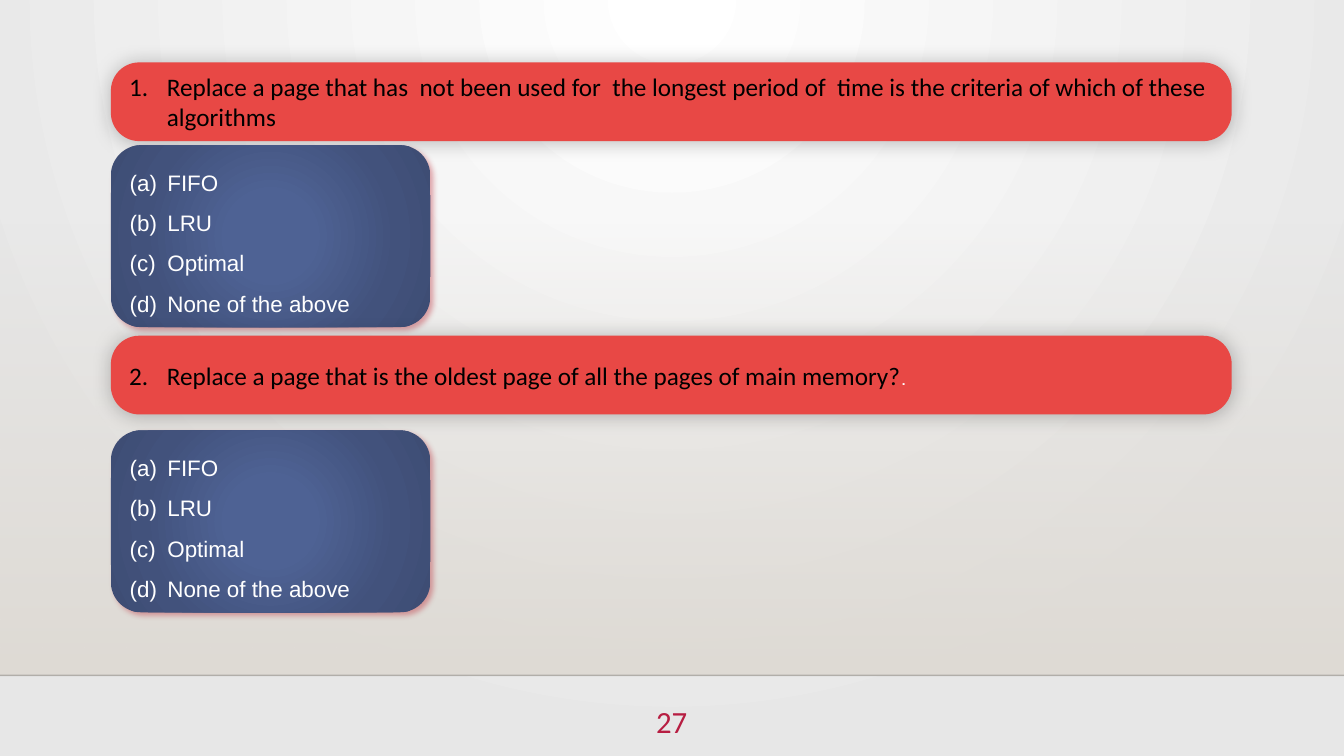
"""Build a quiz slide with two questions on page replacement algorithms."""
import pptx
import pptx.dml.color
import pptx.enum.shapes
import pptx.enum.text
import pptx.oxml
import pptx.oxml.ns
import pptx.util

Pt = pptx.util.Pt
SHAPES = pptx.enum.shapes.MSO_SHAPE
ALIGN = pptx.enum.text.PP_ALIGN

COLORS = {
    "white": "FFFFFF", "black": "000000", "edge": "E7E7E7", "sand": "DFDBD5",
    "rule": "000001", "number": "B71E42", "question": "E84845", "glow": "BA2532",
    "blue": "4E6294", "blue_mid": "42527C", "blue_dark": "3E4D74",
}
OPTIONS = ["FIFO", "LRU", "Optimal", "None of the above"]
QUESTIONS = [
    {"top": 44.6, "options_top": 103.7, "tail": "",
     "text": "Replace a page that has  not been used for  the longest period of  time "
             "is the criteria of which of these algorithms"},
    {"top": 239.8, "options_top": 307.4, "tail": ".",
     "text": "Replace a page that is the oldest page of all the pages of main memory?"},
]
PAGE_NUMBER = "27"

SLIDE_WIDTH, SLIDE_HEIGHT = 960, 540
LEFT = 79.2
QUESTION_SIZE = (800.6, 56.2)
OPTIONS_SIZE = (228.2, 130)
PANEL_TOP, RULE_TOP = 159, 482.4
INDENT = 27

BACKGROUND_STOPS = [(0, "white", 100), (100, "edge", 100)]
PANEL_STOPS = [(0, "sand", 0), (100, "sand", 100)]
OPTIONS_STOPS = [(0, "blue", 100), (23, "blue", 100), (69, "blue_mid", 100), (97, "blue_dark", 100)]


def parse_xml(tag, attributes="", content=""):
    namespace = pptx.oxml.ns.nsdecls("a")
    return pptx.oxml.parse_xml(f"<a:{tag} {namespace} {attributes}>{content}</a:{tag}>")


def color_xml(color, alpha):
    return f'<a:srgbClr val="{COLORS[color]}"><a:alpha val="{alpha * 1000}"/></a:srgbClr>'


def set_gradient(properties, stops, focus=None):
    """Turn the solid fill into a linear gradient, or a circular one around focus."""
    content = "".join(f'<a:gs pos="{position * 1000}">{color_xml(color, alpha)}</a:gs>'
                      for position, color, alpha in stops)
    direction = '<a:lin ang="5400000" scaled="0"/>'
    if focus:
        sides = " ".join(f'{side}="{value * 1000}"' for side, value in zip("ltrb", focus))
        direction = f'<a:path path="circle"><a:fillToRect {sides}/></a:path>'
    solid = properties.find(pptx.oxml.ns.qn("a:solidFill"))
    gradient = parse_xml("gradFill", 'rotWithShape="1"', f"<a:gsLst>{content}</a:gsLst>{direction}")
    properties.replace(solid, gradient)


def add_block(slide, kind, left, top, width, height, color, shadow=None):
    shape = slide.shapes.add_shape(kind, Pt(left), Pt(top), Pt(width), Pt(height))
    shape.fill.solid()
    shape.fill.fore_color.rgb = pptx.dml.color.RGBColor.from_string(COLORS[color])
    shape.line.fill.background()
    shape.shadow.inherit = False
    if shadow:
        shadow_color, alpha, blur, distance, angle = shadow
        effects = shape.element.spPr.find(pptx.oxml.ns.qn("a:effectLst"))
        effects.append(parse_xml(
            "outerShdw",
            f'blurRad="{Pt(blur)}" dist="{Pt(distance)}" dir="{angle * 60000}" '
            'algn="ctr" rotWithShape="0"',
            color_xml(shadow_color, alpha)))
    return shape


def write_text(shape, text, size, font, color, align=ALIGN.LEFT, spacing=None,
               numbering=None, start=1, new_paragraph=False):
    frame = shape.text_frame
    frame.word_wrap = True
    frame.vertical_anchor = pptx.enum.text.MSO_ANCHOR.MIDDLE
    paragraph = frame.add_paragraph() if new_paragraph else frame.paragraphs[-1]
    paragraph.alignment = align
    if spacing:
        paragraph.line_spacing = spacing
    if numbering:
        properties = paragraph._p.get_or_add_pPr()
        properties.set("marL", str(Pt(INDENT)))
        properties.set("indent", str(-Pt(INDENT)))
        properties.append(parse_xml("buAutoNum", f'type="{numbering}" startAt="{start}"'))
    run = paragraph.add_run()
    run.text = text
    run.font.size = Pt(size)
    run.font.name = font
    run.font.color.rgb = pptx.dml.color.RGBColor.from_string(COLORS[color])


def add_backdrop(slide):
    slide.background.fill.solid()
    background = next(slide.element.iter(pptx.oxml.ns.qn("p:bgPr")))
    set_gradient(background, BACKGROUND_STOPS, focus=(43, 0, 43, 100))

    panel = add_block(slide, SHAPES.RECTANGLE, 0, PANEL_TOP, SLIDE_WIDTH,
                      RULE_TOP - PANEL_TOP, "sand")
    set_gradient(panel.element.spPr, PANEL_STOPS)

    rule = slide.shapes.add_connector(pptx.enum.shapes.MSO_CONNECTOR.STRAIGHT,
                                      0, Pt(RULE_TOP), Pt(SLIDE_WIDTH), Pt(RULE_TOP))
    rule.line.width = Pt(1)
    rule.line.color.rgb = pptx.dml.color.RGBColor.from_string(COLORS["rule"])
    next(rule.element.spPr.iter(pptx.oxml.ns.qn("a:srgbClr"))).append(
        parse_xml("alpha", 'val="20000"'))
    rule.element.spPr.append(parse_xml("effectLst"))

    number = slide.shapes.add_textbox(Pt(447.8), Pt(495.4), Pt(64.1), Pt(39.6))
    write_text(number, PAGE_NUMBER, 22, "Calibri", "number", align=ALIGN.CENTER)


def add_question(slide, number, question):
    bar = add_block(slide, SHAPES.ROUNDED_RECTANGLE, LEFT, question["top"], *QUESTION_SIZE,
                    "question", shadow=("black", 25, 15, 0, 0))
    bar.adjustments[0] = 0.36
    write_text(bar, question["text"], 18, "Calibri", "black",
               numbering="arabicPeriod", start=number)
    if question["tail"]:
        write_text(bar, question["tail"], 16, "Manrope", "white")

    box = add_block(slide, SHAPES.ROUNDED_RECTANGLE, LEFT, question["options_top"], *OPTIONS_SIZE,
                    "blue", shadow=("glow", 40, 4, 3, 45))
    set_gradient(box.element.spPr, OPTIONS_STOPS, focus=(50, 50, 50, 50))
    for index, option in enumerate(OPTIONS):
        write_text(box, option, 16, "Arial", "white", spacing=1.5,
                   numbering="alphaLcParenBoth", new_paragraph=index > 0)


def main():
    presentation = pptx.Presentation()
    presentation.slide_width, presentation.slide_height = Pt(SLIDE_WIDTH), Pt(SLIDE_HEIGHT)
    slide = presentation.slides.add_slide(presentation.slide_layouts[6])
    add_backdrop(slide)
    for number, question in enumerate(QUESTIONS, start=1):
        add_question(slide, number, question)
    presentation.save("out.pptx")


if __name__ == "__main__":
    main()
